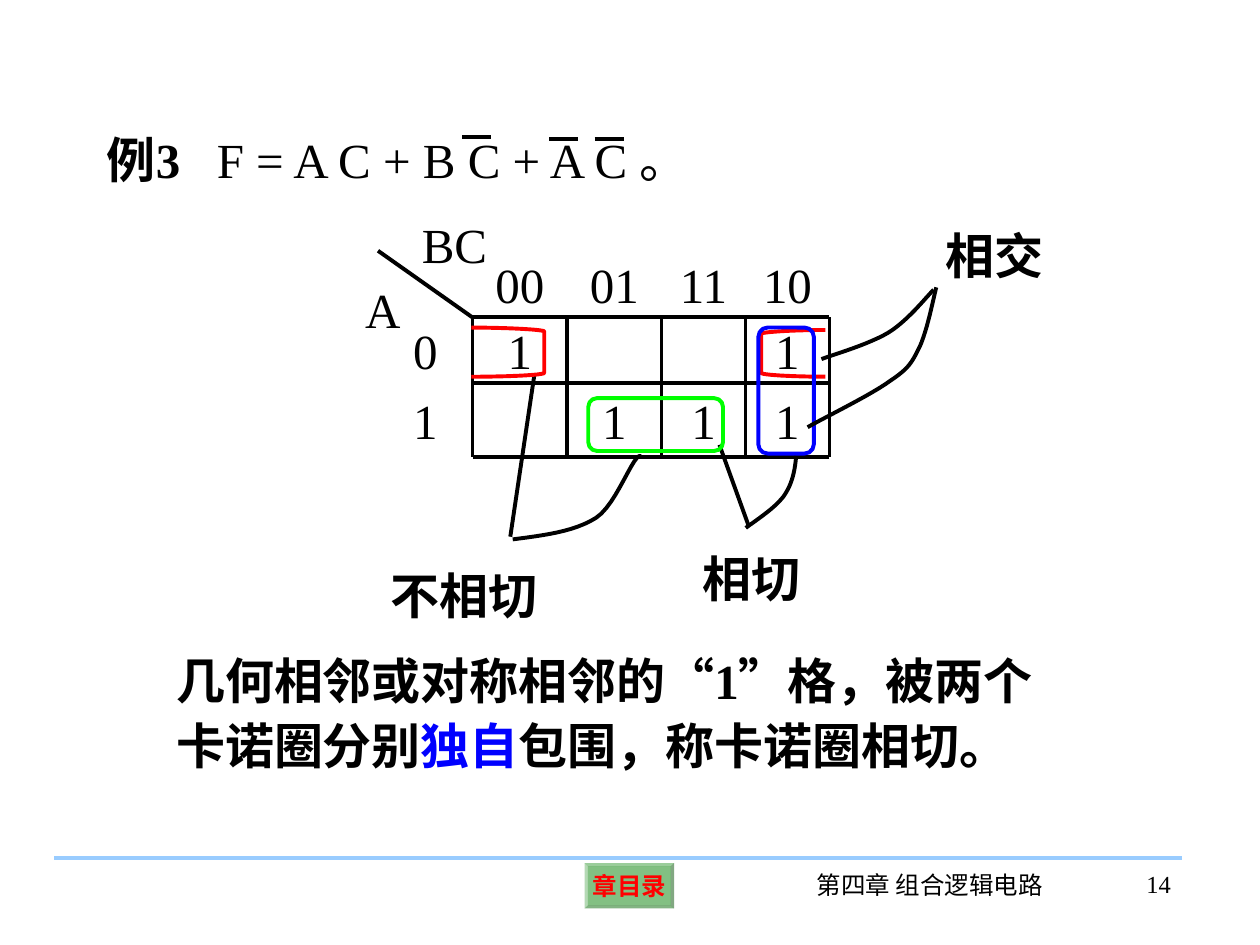
from itertools import product
from typing import NamedTuple

from pptx import Presentation
from pptx import util as u
from pptx.dml.color import RGBColor
from pptx.enum import shapes, text
from pptx.oxml.xmlchemy import OxmlElement

COLORS = {"ink": "000000", "red": "FF0000", "blue": "0000FF", "lime": "00FF00",
          "green": "008000", "sky": "99CCFF"}
SERIF, SANS = "Times New Roman", "Arial"
COLUMNS = [216, 270, 324, 378, 426, 474]
ROWS = [143.3, 181.4, 219, 261.2]
KARNAUGH = [["", "00", "01", "11", "10"],
            ["0", "1", "", "", "1"],
            ["1", "", "1", "1", "1"]]
STEPS = 12
LEFT, CENTER, RIGHT = text.PP_ALIGN.LEFT, text.PP_ALIGN.CENTER, text.PP_ALIGN.RIGHT
TOP, MIDDLE = text.MSO_ANCHOR.TOP, text.MSO_ANCHOR.MIDDLE

Point = tuple[float, float]
Curve = tuple[Point, Point, Point]


class Span(NamedTuple):
    words: str
    bold: bool = False
    color: str = "ink"
    font: str = SERIF
    size: float = 28


class Label(NamedTuple):
    left: float
    top: float
    width: float
    height: float
    spans: list[Span]
    align: text.PP_ALIGN = LEFT
    anchor: text.MSO_ANCHOR = TOP
    inset: Point = (7.2, 3.6)
    spacing: float = 1.0
    tab: float = 0


class Segment(NamedTuple):
    start: Point
    end: Point
    color: str = "ink"


class Loop(NamedTuple):
    left: float
    top: float
    width: float
    height: float
    color: str


class Stroke(NamedTuple):
    start: Point
    curves: list[Curve]
    color: str = "ink"


class Bracket(NamedTuple):
    opening: float
    wall: float
    top: float
    bottom: float


def rgb(name: str) -> RGBColor:
    return RGBColor.from_string(COLORS[name])


def assign(target, values: dict) -> None:
    for name, value in values.items():
        setattr(target, name, value)


def draw_line_style(shape, color: str) -> None:
    shape.line.color.rgb = rgb(color)
    shape.line.width = u.Pt(2.25)


def fill_frame(frame, label: Label) -> None:
    across, down = map(u.Pt, label.inset)
    assign(frame, {"word_wrap": True, "vertical_anchor": label.anchor,
                   "margin_left": across, "margin_right": across,
                   "margin_top": down, "margin_bottom": down})
    para = frame.paragraphs[0]
    if label.tab:
        stops = OxmlElement("a:tabLst")
        stop = OxmlElement("a:tab")
        stop.set("pos", str(u.Pt(label.tab)))
        stop.set("algn", "l")
        stops.append(stop)
        para._p.get_or_add_pPr().append(stops)
    assign(para, {"alignment": label.align, "line_spacing": label.spacing})
    for span in label.spans:
        run = para.add_run()
        run.text = span.words
        assign(run.font, {"name": span.font, "size": u.Pt(span.size), "bold": span.bold})
        run.font.color.rgb = rgb(span.color)


def draw_label(page, label: Label) -> None:
    box = page.shapes.add_textbox(*map(u.Pt, label[:4]))
    fill_frame(box.text_frame, label)


def draw_segment(page, segment: Segment) -> None:
    line = page.shapes.add_connector(
        shapes.MSO_CONNECTOR.STRAIGHT, *map(u.Pt, segment.start + segment.end))
    draw_line_style(line, segment.color)
    line._element.spPr.append(OxmlElement("a:effectLst"))


def draw_loop(page, loop: Loop) -> None:
    ring = page.shapes.add_shape(
        shapes.MSO_SHAPE.ROUNDED_RECTANGLE, *map(u.Pt, loop[:4]))
    ring.adjustments[0] = 0.167
    ring.shadow.inherit = False
    ring.fill.background()
    draw_line_style(ring, loop.color)


def curve_points(start: Point, curve: Curve) -> list[Point]:
    anchors = (start, *curve)
    points = []
    for step in range(1, STEPS + 1):
        t = step / STEPS
        weights = ((1 - t) ** 3, 3 * t * (1 - t) ** 2, 3 * t * t * (1 - t), t ** 3)
        points.append(tuple(sum(w * a[axis] for w, a in zip(weights, anchors))
                            for axis in (0, 1)))
    return points


def draw_outline(page, points: list[Point], color: str) -> None:
    scaled = [(u.Pt(x), u.Pt(y)) for x, y in points]
    builder = page.shapes.build_freeform(*scaled[0])
    builder.add_line_segments(scaled[1:], close=False)
    outline = builder.convert_to_shape()
    outline.shadow.inherit = False
    outline.fill.background()
    draw_line_style(outline, color)


def draw_stroke(page, stroke: Stroke) -> None:
    points = [stroke.start]
    for curve in stroke.curves:
        points += curve_points(points[-1], curve)
    draw_outline(page, points, stroke.color)


def draw_bracket(page, bracket: Bracket) -> None:
    opening, wall, top, bottom = bracket
    middle = (opening + wall) / 2
    upper = curve_points((opening, top), ((middle, top), (wall, top + 1.2), (wall, top + 2.2)))
    lower = curve_points((wall, bottom - 2.2),
                         ((wall, bottom - 1), (middle, bottom), (opening, bottom)))
    draw_outline(page, [(opening, top), *upper, (wall, bottom - 2.2), *lower], "red")


def draw_button(page) -> None:
    button = page.shapes.add_shape(
        shapes.MSO_SHAPE.BEVEL, *map(u.Pt, (334.1, 493.2, 51.1, 25.9)))
    button.adjustments[0] = 0.07
    button.shadow.inherit = False
    button.fill.solid()
    button.fill.fore_color.rgb = rgb("green")
    alpha = OxmlElement("a:alpha")
    alpha.set("val", "49000")
    button._element.spPr.find(".//{*}srgbClr").append(alpha)
    button.line.fill.background()
    fill_frame(button.text_frame, Label(0, 0, 0, 0, [Span("章目录", True, "red", size=14)],
                                        CENTER, MIDDLE, (0, 0)))
    button.text_frame.word_wrap = False


def draw_karnaugh(page) -> None:
    for row, column in product(range(3), range(5)):
        if KARNAUGH[row][column]:
            left, top = COLUMNS[column], ROWS[row]
            draw_label(page, Label(left, top, COLUMNS[column + 1] - left, ROWS[row + 1] - top,
                                   [Span(KARNAUGH[row][column])], CENTER, MIDDLE, (1.4, 1.4)))
    draw_segment(page, Segment((COLUMNS[0], ROWS[0]), (COLUMNS[1], ROWS[1])))
    for x in COLUMNS[1:]:
        draw_segment(page, Segment((x, ROWS[1]), (x, ROWS[-1])))
    for y in ROWS[1:]:
        draw_segment(page, Segment((COLUMNS[1], y), (COLUMNS[-1], y)))


LABELS = [
    Label(449.3, 493.9, 164.2, 36, [Span("第四章 组合逻辑电路", size=14)], CENTER),
    Label(614.2, 493.2, 61.9, 36, [Span("14", size=14)], RIGHT),
    Label(201.6, 156.2, 32.4, 41, [Span("A")]),
    Label(234, 118.8, 54, 41, [Span("BC")]),
    Label(54, 70.6, 540.7, 41, [Span("例3", True), Span("\tF = A C + B C + A C 。")], tab=62.8),
    Label(533.5, 121.7, 72, 44.6, [Span("相交", True)], spacing=1.1),
    Label(394.6, 306.7, 72, 44.6, [Span("相切", True)], spacing=1.1),
    Label(216, 316.1, 100, 44.6, [Span("不相切", True)], spacing=1.1),
    Label(93.6, 365, 512.6, 81.4, [
        Span("几何相邻或对称相邻的", True), Span("“", True, font=SANS), Span("1", True),
        Span("”", True, font=SANS), Span("格，被两个卡诺圈分别", True),
        Span("独自", True, "blue"), Span("包围，称卡诺圈相切。", True)], spacing=1.1),
]
OVERBARS = [(264.2, 78.5), (339.8, 79.2), (313.9, 79.2)]
SEGMENTS = [
    Segment((31, 490.3), (675.4, 490.3), "sky"),
    Segment((427.7, 300.2), (411.1, 254.2)),
    Segment((291.6, 306.7), (305.3, 214.6)),
    *(Segment((x, y), (x + 16.6, y)) for x, y in OVERBARS),
]
BRACKETS = [Bracket(269.3, 311, 187.2, 215.3), Bracket(471.6, 434.9, 188.6, 215.3)]
LOOPS = [Loop(433.4, 187.2, 31.7, 72, "blue"), Loop(336.2, 227.5, 77, 30.2, "lime")]
LEADERS = [
    Stroke((533.5, 165.6), [((529.2, 169.9), (518.4, 183.6), (507.6, 190.1)),
                            ((496.8, 196.6), (477.4, 202.3), (469.4, 205.2))]),
    Stroke((535, 164.2), [((533.5, 169.9), (529.9, 188.6), (525.6, 198)),
                          ((521.3, 206.6), (519.8, 210.2), (509, 217.4)),
                          ((498.2, 225.4), (471.6, 238.3), (461.5, 244.1))]),
    Stroke((426.2, 301.7), [((434.2, 295.9), (442.8, 290.2), (447.8, 283.7)),
                            ((452.9, 276.5), (454.3, 268.6), (455, 260.6))]),
    Stroke((293, 308.2), [((310.3, 306), (328.3, 303.8), (340.6, 295.9)),
                          ((352.8, 288), (362.2, 257.8), (366.5, 260.6))]),
]


def main() -> None:
    deck = Presentation()
    assign(deck, {"slide_width": u.Pt(720), "slide_height": u.Pt(540)})
    page = deck.slides.add_slide(deck.slide_layouts[6])
    draw_button(page)
    draw_karnaugh(page)
    for draw, items in ((draw_label, LABELS), (draw_segment, SEGMENTS),
                        (draw_bracket, BRACKETS), (draw_loop, LOOPS), (draw_stroke, LEADERS)):
        for item in items:
            draw(page, item)
    deck.save("out.pptx")


if __name__ == "__main__":
    main()
